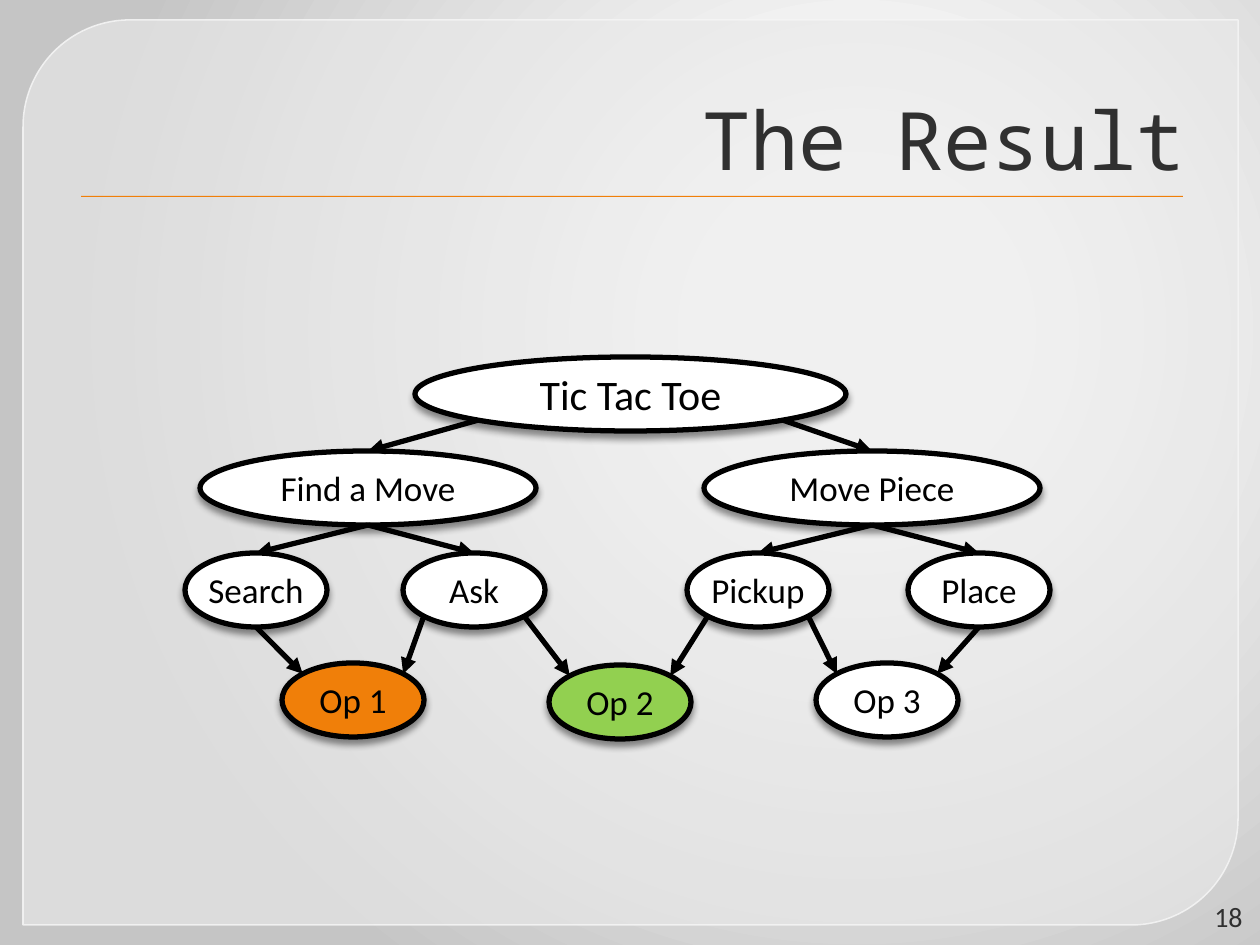
from math import cos, sin, radians
from lxml import etree
from pptx import Presentation
from pptx import util as u
from pptx.dml.color import RGBColor
from pptx.enum import shapes, text
from pptx.oxml import parse_xml
from pptx.oxml.ns import nsdecls, qn

HUES = {"ink": "303030", "black": "000000", "white": "FFFFFF", "edge": "C5C5C5",
        "panel": "E9E9E9", "rim": "F5F5F5", "orange": "F07F09", "green": "92D050"}
KIND = shapes.MSO_SHAPE
ALIGN = text.PP_ALIGN
ANCHOR = text.MSO_ANCHOR

NODES = {
    "Tic Tac Toe": (230, 0, 431, 24, "white"),
    "Find a Move": (15, 94, 336, 20, "white"),
    "Move Piece": (519, 94, 336, 20, "white"),
    "Search": (0, 196, 142, 20, "white"),
    "Ask": (218, 196, 142, 20, "white"),
    "Pickup": (502, 196, 142, 20, "white"),
    "Place": (723, 196, 142, 20, "white"),
    "Op 1": (97, 306, 142, 20, "orange"),
    "Op 2": (364, 308, 142, 20, "green"),
    "Op 3": (631, 306, 142, 20, "white"),
}
TOP, LEFT, RIGHT = 270, 225, 315
BOTTOM, LOWLEFT, LOWRIGHT = 90, 135, 45
LINKS = [
    ("Tic Tac Toe", LOWLEFT, "Find a Move", TOP),
    ("Tic Tac Toe", LOWRIGHT, "Move Piece", TOP),
    ("Find a Move", BOTTOM, "Search", TOP),
    ("Find a Move", BOTTOM, "Ask", TOP),
    ("Move Piece", BOTTOM, "Pickup", TOP),
    ("Move Piece", BOTTOM, "Place", TOP),
    ("Search", BOTTOM, "Op 1", LEFT),
    ("Ask", LOWLEFT, "Op 1", RIGHT),
    ("Ask", LOWRIGHT, "Op 2", LEFT),
    ("Pickup", LOWLEFT, "Op 2", RIGHT),
    ("Pickup", LOWRIGHT, "Op 3", LEFT),
    ("Place", BOTTOM, "Op 3", RIGHT),
]
TALL = 74


def px(*sizes):
    return [u.Emu(round(size * 914400 / 126)) for size in sizes]


def hue(name):
    return RGBColor.from_string(HUES[name])


def fade(fill, share):
    color = fill._xPr.find(".//" + qn("a:srgbClr"))
    etree.SubElement(color, qn("a:alpha"), val=str(share * 1000))


def shade(shape, alpha, blur, dist):
    shape.shadow.inherit = False
    effects = shape._element.spPr.find(qn("a:effectLst"))
    effects.append(parse_xml(
        f'<a:outerShdw {nsdecls("a")} blurRad="{blur * 12700}" dist="{dist * 12700}" '
        f'dir="5400000" rotWithShape="0"><a:srgbClr val="{HUES["black"]}">'
        f'<a:alpha val="{alpha * 1000}"/></a:srgbClr></a:outerShdw>'))


def write(shape, words, size, font, color, align, anchor):
    frame = shape.text_frame
    frame.word_wrap = True
    frame.vertical_anchor = anchor
    para = frame.paragraphs[0]
    para.text = words
    para.alignment = align
    para.font.size = u.Pt(size)
    para.font.name = font
    para.font.color.rgb = hue(color)


def backdrop(slide):
    fill = slide.background.fill
    fill.gradient()
    grad = slide._element.find(".//" + qn("a:gradFill"))
    stops = "".join(f'<a:gs pos="{at * 1000}"><a:srgbClr val="{HUES[name]}"/></a:gs>'
                    for at, name in ((0, "white"), (20, "white"), (100, "edge")))
    grad.getparent().replace(grad, parse_xml(
        f'<a:gradFill {nsdecls("a")} rotWithShape="1"><a:gsLst>{stops}</a:gsLst>'
        '<a:path path="circle"><a:fillToRect l="68000" t="35000" r="32000" b="65000"/>'
        '</a:path></a:gradFill>'))


def panel(slide, x, y, w, h):
    card = slide.shapes.add_shape(KIND.ROUND_2_DIAG_RECTANGLE, *px(x, y, w, h))
    card.adjustments[0] = 0.118
    card.adjustments[1] = 0
    card.shadow.inherit = False
    card.fill.solid()
    card.fill.fore_color.rgb = hue("panel")
    fade(card.fill, 65)
    card.line.width = u.Pt(0.87)
    card.line.color.rgb = hue("rim")
    fade(card.line.fill, 88)


def header(slide, x, y, w, h):
    rule = slide.shapes.add_shape(KIND.RECTANGLE, *px(x + 18, y + 161, w - 32, 1))
    rule.fill.solid()
    rule.fill.fore_color.rgb = hue("orange")
    rule.line.fill.background()
    shade(rule, 75, 1, 1)
    title = slide.shapes.add_textbox(*px(x, y, w, h))
    write(title, "The Result", 46, "Noto Sans Mono", "ink", ALIGN.RIGHT, ANCHOR.BOTTOM)


def footer(slide, x, y, w, h):
    box = slide.shapes.add_textbox(*px(x, y, w, h))
    write(box, "18", 16, "Calibri", "ink", ALIGN.RIGHT, ANCHOR.MIDDLE)


def node(slide, x, y, w, words, size, color):
    oval = slide.shapes.add_shape(KIND.OVAL, *px(x, y, w, TALL))
    oval.fill.solid()
    oval.fill.fore_color.rgb = hue(color)
    oval.line.color.rgb = hue("black")
    oval.line.width = u.Pt(3)
    shade(oval, 43, 4, 3)
    oval.text_frame.margin_left = oval.text_frame.margin_right = 0
    write(oval, words, size, "Calibri", "black", ALIGN.CENTER, ANCHOR.MIDDLE)


def arrow(slide, start, end):
    line = slide.shapes.add_connector(shapes.MSO_CONNECTOR.STRAIGHT, *px(*start, *end))
    line.line.color.rgb = hue("black")
    line.line.width = u.Pt(3)
    etree.SubElement(line.line._get_or_add_ln(), qn("a:tailEnd"), type="triangle")
    etree.SubElement(line._element.spPr, qn("a:effectLst"))


def tree(slide, left, top):
    def site(name, angle):
        x, y, w = NODES[name][:3]
        turn = radians(angle)
        return (left + x + w / 2 * (1 + cos(turn)),
                top + y + TALL / 2 * (1 + sin(turn)))

    for name, (x, y, w, size, color) in NODES.items():
        node(slide, left + x, top + y, w, name, size, color)
    for source, leave, target, enter in LINKS:
        arrow(slide, site(source, leave), site(target, enter))


def main():
    deck = Presentation()
    deck.slide_width, deck.slide_height = px(1260, 945)
    slide = deck.slides.add_slide(deck.slide_layouts[6])
    backdrop(slide)
    panel(slide, 23, 20, 1215, 905)
    header(slide, 63, 35, 1134, 158)
    footer(slide, 1191, 897, 64, 38)
    tree(slide, 185, 357)
    deck.save("out.pptx")


if __name__ == "__main__":
    main()
